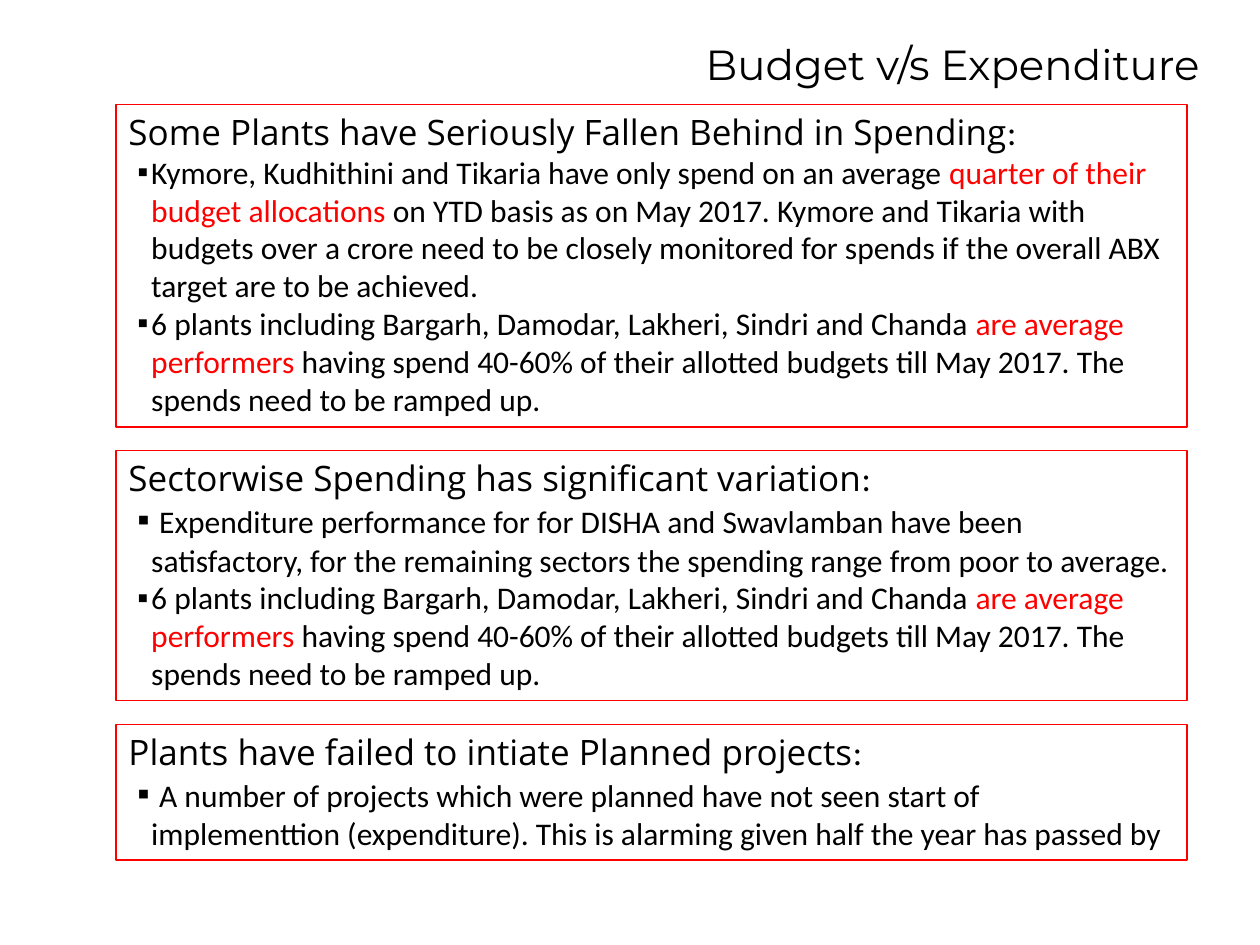
import pptx
import pptx.dml.color
import pptx.enum.shapes
import pptx.enum.text
import pptx.util
from lxml import etree
from pptx.oxml.ns import qn

Cm, Pt = pptx.util.Cm, pptx.util.Pt
TextAnchor = pptx.enum.text.MSO_ANCHOR
AutoSize = pptx.enum.text.MSO_AUTO_SIZE
Align = pptx.enum.text.PP_ALIGN

COLORS = {"text": "000000", "accent": "FF0000"}

# Character formats: font name, size and colour key
FORMATS = {
    "title": ({"name": "Montserrat", "size": Pt(24)}, "text"),
    "heading": ({"name": "Open Sans", "size": Pt(20)}, "text"),
    "colon": ({"name": "Calibri", "size": Pt(20)}, "text"),
    "body": ({"name": "Calibri", "size": Pt(18)}, "text"),
    "key": ({"name": "Calibri", "size": Pt(18)}, "accent"),
}

AVERAGE_PERFORMERS = [
    ("6 plants including Bargarh, Damodar, Lakheri, Sindri and Chanda ", "body"),
    ("are average performers ", "key"),
    ("having spend 40-60% of their allotted budgets till May 2017. "
     "The spends need to be ramped up.", "body"),
]

# Each finding: heading, box height in cm, bullets made of (text, format)
FINDINGS = [
    ("Some Plants have Seriously Fallen Behind in Spending", 6.5, [
        [("Kymore, Kudhithini and Tikaria have only spend on an average ", "body"),
         ("quarter of their budget allocations ", "key"),
         ("on YTD basis as on May 2017. Kymore and Tikaria with budgets over a "
          "crore need to be closely monitored for spends if the overall ABX "
          "target are to be achieved. ", "body")],
        AVERAGE_PERFORMERS,
    ]),
    ("Sectorwise Spending has significant variation", 5.05, [
        [(" ", "colon"),
         ("Expenditure performance for for DISHA and Swavlamban have been "
          "satisfactory, for the remaining sectors the spending range from "
          "poor to average. ", "body")],
        AVERAGE_PERFORMERS,
    ]),
    ("Plants have failed to intiate Planned projects", 2.74, [
        [(" ", "colon"),
         ("A number of projects which were planned have not seen start of "
          "implementtion (expenditure). This is alarming given half the year "
          "has passed by", "body")],
    ]),
]


def rgb(key):
    return pptx.dml.color.RGBColor.from_string(COLORS[key])


def set_attributes(target, values):
    for name, value in values.items():
        setattr(target, name, value)


def add_runs(paragraph, pieces):
    paragraph.alignment = Align.LEFT
    for text, style in pieces:
        run = paragraph.add_run()
        run.text = text
        font_values, color = FORMATS[style]
        set_attributes(run.font, font_values)
        run.font.color.rgb = rgb(color)


def add_bullet(paragraph):
    properties = paragraph._p.get_or_add_pPr()
    properties.set("marL", str(Cm(0.46)))
    properties.set("indent", str(Cm(-0.28)))
    etree.SubElement(properties, qn("a:buFont")).set("typeface", "Arial")
    etree.SubElement(properties, qn("a:buChar")).set("char", "▪")


def place_title(slide, left, top, width, height):
    title = slide.shapes.title
    set_attributes(title, {"left": left, "top": top, "width": width, "height": height})
    set_attributes(title.text_frame, {"word_wrap": True, "auto_size": AutoSize.NONE,
                                      "vertical_anchor": TextAnchor.TOP})
    add_runs(title.text_frame.paragraphs[0], [("Budget v/s Expenditure", "title")])


def add_finding(slide, left, top, width, height, heading, bullets):
    box = slide.shapes.add_shape(pptx.enum.shapes.MSO_SHAPE.RECTANGLE,
                                 left, top, width, height)
    box.shadow.inherit = False
    box.fill.background()
    box.line.color.rgb = rgb("accent")
    box.line.width = Pt(0.75)
    frame = box.text_frame
    set_attributes(frame, {"word_wrap": True, "vertical_anchor": TextAnchor.TOP,
                           "auto_size": AutoSize.SHAPE_TO_FIT_TEXT})
    add_runs(frame.paragraphs[0], [(heading, "heading"), (":", "colon")])
    for pieces in bullets:
        paragraph = frame.add_paragraph()
        add_runs(paragraph, pieces)
        add_bullet(paragraph)


def build_slide(deck):
    slide = deck.slides.add_slide(deck.slide_layouts[5])
    place_title(slide, Cm(13.97), Cm(0.64), Cm(11.43), Cm(1.27))

    # Findings stacked with equal gaps
    top, gap = 2.11, 0.47
    for heading, height, bullets in FINDINGS:
        add_finding(slide, Cm(2.34), Cm(top), Cm(21.59), Cm(height), heading, bullets)
        top += height + gap


deck = pptx.Presentation()
set_attributes(deck, {"slide_width": Cm(25.4), "slide_height": Cm(19.05)})
build_slide(deck)
deck.save("out.pptx")
